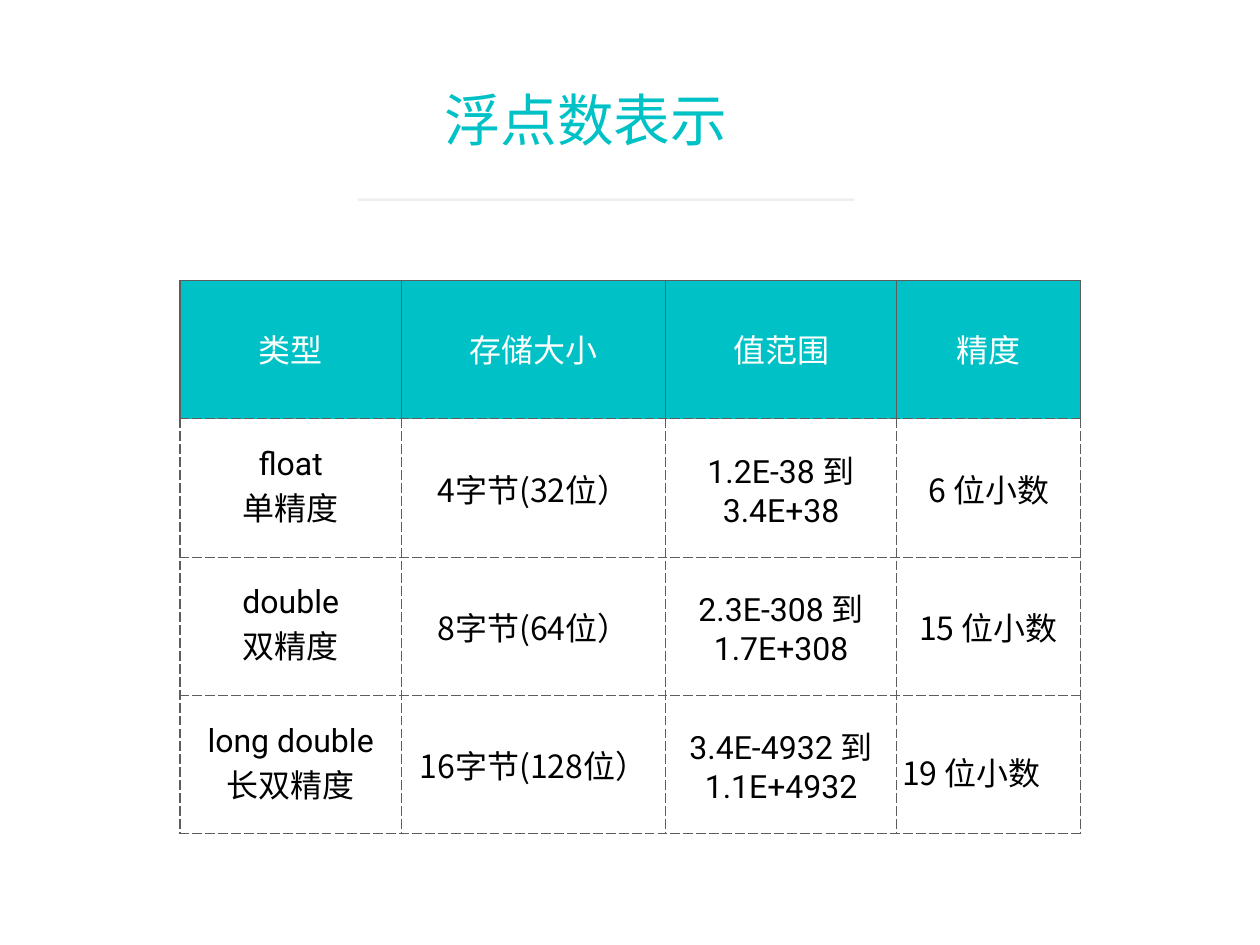
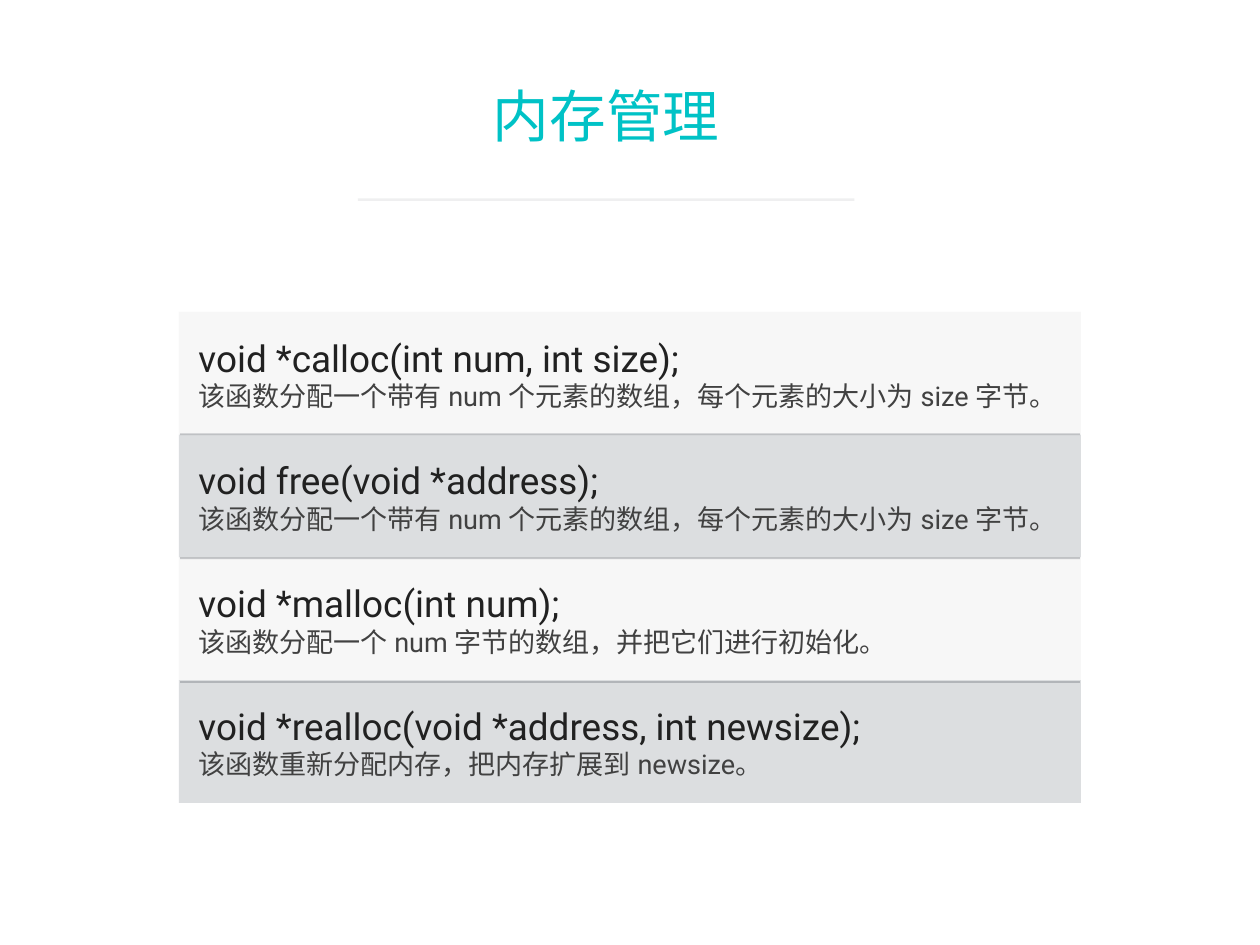
"""Build two slides: a floating point table and a list of memory functions."""
import pptx
import pptx.chart.data
import pptx.dml.color
import pptx.enum.dml
import pptx.enum.shapes
import pptx.enum.text
import pptx.oxml
import pptx.oxml.ns
import pptx.util
from lxml import etree

Cm = pptx.util.Cm
Pt = pptx.util.Pt
qn = pptx.oxml.ns.qn
ALIGN = pptx.enum.text.PP_ALIGN
MID = pptx.enum.text.MSO_ANCHOR.MIDDLE

HUES = {
    "teal": "00C2C6", "white": "FFFFFF", "black": "000000",
    "rule": "85888D", "grid": "5D5D5D", "split": "53585F",
    "pale": "EBEBEB", "grey": "DCDEE0", "code": "212121", "note": "414141",
}
SANS = ("Noto Sans", "Noto Sans")
ROBO = ("Roboto", "Roboto")
MIX = ("Roboto", "Noto Sans CJK KR")
KR = ("Noto Sans CJK KR", "Noto Sans CJK KR")
SC = ("Noto Sans CJK SC", "Noto Sans CJK SC")

FLOATS = [
    ("类型", "存储大小", "值范围", "精度"),
    ("float\n单精度", "4字节(32位）", "1.2E-38 到 3.4E+38", "6 位小数"),
    ("double\n双精度", "8字节(64位）", "2.3E-308 到 1.7E+308", "15 位小数"),
    ("long double\n长双精度", "16字节(128位）", "3.4E-4932 到 1.1E+4932", "19 位小数"),
]
FACES = (MIX, SC, MIX, KR)
WIDTHS = (6.35, 7.57, 6.63, 5.26)
ROW = 3.96

ARRAY = "该函数分配一个带有 num 个元素的数组，每个元素的大小为 size 字节。"
CALLS = [
    ("void *calloc(int num, int size);", ARRAY, 25.02),
    ("void free(void *address);", ARRAY, 25.02),
    ("void *malloc(int num);", "该函数分配一个 num 字节的数组，并把它们进行初始化。", 20.12),
    ("void *realloc(void *address, int newsize);",
     "该函数重新分配内存，把内存扩展到 newsize。", 20.17),
]
BAND = 3.52
PAD = 0.15


def rgb(hue):
    return pptx.dml.color.RGBColor.from_string(HUES[hue])


def fade(fill, share):
    node = fill._xPr.find(".//" + qn("a:srgbClr"))
    etree.SubElement(node, qn("a:alpha"), val=str(share * 1000))


def style(para, face, size, hue, align=ALIGN.CENTER):
    para.alignment = align
    for run in para.runs:
        font = run.font
        font.size, font.bold, font.name = Pt(size), False, face[0]
        font.color.rgb = rgb(hue)
        etree.SubElement(run._r.get_or_add_rPr(), qn("a:ea"), typeface=face[1])


def inset(item):
    item.margin_left = item.margin_right = Cm(PAD)
    item.margin_top = item.margin_bottom = Cm(PAD)
    item.vertical_anchor = MID


def label(slide, left, top, width, height, text, wrap):
    frame = slide.shapes.add_textbox(Cm(left), Cm(top), Cm(width), Cm(height)).text_frame
    frame.text = text
    frame.word_wrap = wrap
    inset(frame)
    return frame.paragraphs


def line(slide, left, right, top, hue, width, share):
    kind = pptx.enum.shapes.MSO_CONNECTOR.STRAIGHT
    item = slide.shapes.add_connector(kind, Cm(left), Cm(top), Cm(right), Cm(top))
    item.line.width = Pt(width)
    item.line.color.rgb = rgb(hue)
    fade(item.line.fill, share)
    etree.SubElement(item._element.spPr, qn("a:effectLst"))


def page(deck, title, left, top, width):
    slide = deck.slides.add_slide(deck.slide_layouts[6])
    style(label(slide, left, top, width, 2.57, title, False)[0], SANS, 46, "teal")
    line(slide, 10.26, 24.49, 5.72, "rule", 2, 13)
    return slide


def edge(cell, side, dash):
    node = etree.SubElement(cell._tc.get_or_add_tcPr(), qn("a:ln" + side), w=str(Pt(1)))
    fill = etree.SubElement(node, qn("a:solidFill"))
    etree.SubElement(fill, qn("a:srgbClr"), val=HUES["grid"])
    etree.SubElement(node, qn("a:prstDash"), val=dash)


def floats(slide):
    rows, cols = len(FLOATS), len(WIDTHS)
    grid = slide.shapes.add_table(rows, cols, Cm(5.16), Cm(8.05),
                                  Cm(sum(WIDTHS)), Cm(ROW * rows)).table
    grid.first_row = grid.horz_banding = False
    for col, width in zip(grid.columns, WIDTHS):
        col.width = Cm(width)
    for r, texts in enumerate(FLOATS):
        grid.rows[r].height = Cm(ROW)
        head = r == 0
        for c, text in enumerate(texts):
            cell = grid.cell(r, c)
            cell.text = text
            inset(cell)
            for side in "LRTB":
                edge(cell, side, "solid" if head and side != "B" else "dash")
            cell.fill.solid()
            cell.fill.fore_color.rgb = rgb("teal" if head else "white")
            for para in cell.text_frame.paragraphs:
                style(para, SANS if head else FACES[c], 26, "white" if head else "black")
    last = grid.cell(rows - 1, cols - 1)
    last.margin_top = Cm(0.55)
    last.text_frame.paragraphs[0].alignment = ALIGN.LEFT


def calls(slide):
    rect = pptx.enum.shapes.MSO_SHAPE.RECTANGLE
    for i, (code, note, width) in enumerate(CALLS):
        top = 8.94 + BAND * i
        band = slide.shapes.add_shape(rect, Cm(5.13), Cm(top), Cm(25.86), Cm(BAND))
        band.shadow.inherit = False
        band.line.fill.background()
        band.fill.solid()
        band.fill.fore_color.rgb = rgb("grey" if i % 2 else "pale")
        if i % 2 == 0:
            fade(band.fill, 38)
        first, second = label(slide, 5.54, top + 0.46, width, 2.62, code + "\n" + note, True)
        style(first, ROBO, 30, "code", ALIGN.LEFT)
        style(second, ROBO, 22, "note", ALIGN.LEFT)
    for i in range(len(CALLS) - 1):
        line(slide, 5.16, 30.96, 12.45 + 3.55 * i, "split", 1.5, 30)


def main():
    deck = pptx.Presentation()
    deck.slide_width, deck.slide_height = Cm(36.12), Cm(27.09)
    floats(page(deck, "浮点数表示", 12.57, 2.11, 8.43))
    calls(page(deck, "内存管理", 13.97, 2.01, 6.81))
    deck.save("out.pptx")


if __name__ == "__main__":
    main()
